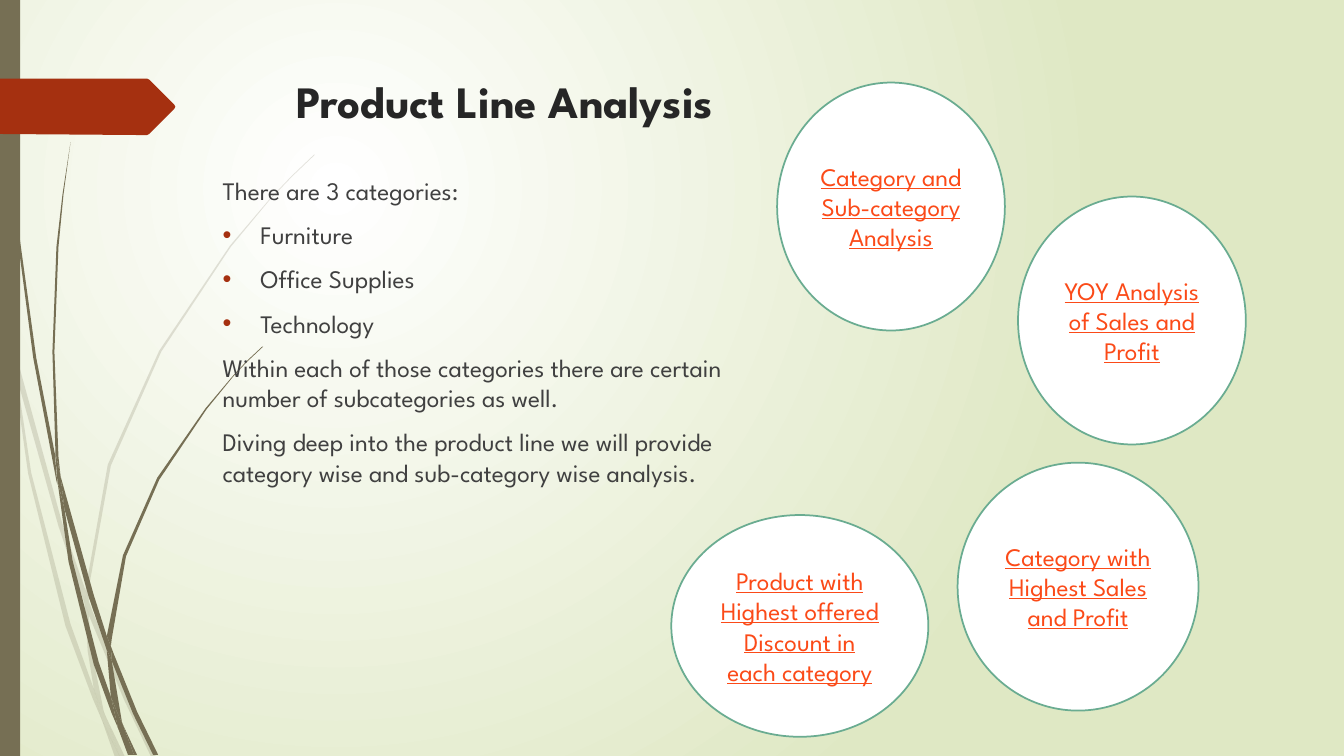
from lxml import etree
from pptx import Presentation
from pptx import util as u
from pptx.dml.color import RGBColor
from pptx.enum import shapes, text
from pptx.oxml.ns import qn

FONT = "League Spartan"
OLIVE, RUST, INK, GREY = "766F54", "A53010", "262626", "404040"
WHITE, LIME, GREEN, ORANGE = "FFFFFF", "DFE8C4", "6AAC91", "FB4A18"
GRID = 0.72  # points per unit of the outline coordinates

PALE_WISPS = [
    "11,350 9,322 0,282 0,299 10,344",
    "58,522 84,599 85,586 62,520 14,345 17,376",
    "92,607 88,596 88,610 123,694 150,751 155,751 127,692",
    "119,751 124,751 105,711",
    "93,683 70,619 31,469 17,376 11,350 28,470 65,621 92,693 101,714 99,707",
    "84,599 87,646 93,683 96,692 105,711 103,706 91,646 88,610 88,608",
    "88,584 110,462 160,349 229,245 268,198 290,175 312,154 312,153 289,175 "
    "268,197 228,244 158,348 107,461 85,584 85,586 88,596",
    "101,714 114,751 119,751",
    "88,608 88,610 88,596 85,586 84,599",
    "96,692 93,683 99,707 101,714 119,751 105,711",
]
DARK_WISPS = [
    "7,110 17,233 33,355 56,477 57,481 55,457 55,453 36,355 19,232 8,109 5,48 4,0 3,0 4,48",
    "88,592 106,645 106,633 106,631 93,590 60,472 64,505",
    "113,649 110,641 111,656 132,708 152,749 157,749 136,706",
    "110,691 98,657 72,556 64,505 57,477 68,557 93,659 111,708 117,722 116,717",
    "60,472 58,453 54,349 58,245 63,193 70,141 62,193 56,245 52,349 55,449",
    "133,749 136,749 122,719",
    "57,477 64,505 60,472 55,449 55,453",
    "111,633 125,552 158,476 205,406 231,374 245,359 261,344 260,344 245,358 "
    "231,373 204,405 156,474 122,551 106,631 110,641",
    "117,722 127,749 131,749",
    "106,645 110,691 116,706 122,719 121,716 111,656 109,651",
    "106,645 109,651 111,656 110,641 106,631 106,633",
    "116,706 110,691 116,717 117,722 130,749 133,749 122,719",
]
ARROW = "173,108 148,133 146,134 136,134 0,133 0,78 136,78 146,78 148,79 173,104 174,106"

BODY = [
    ("There are 3 categories:", False),
    ("Furniture", True),
    ("Office Supplies", True),
    ("Technology", True),
    ("Within each of those categories there are certain number of subcategories as well.", False),
    ("Diving deep into the product line we will provide category wise and "
     "sub-category wise analysis.", False),
]
BUBBLES = [
    ("Category and Sub-category Analysis", 555.1, 59, 162.7, 177.1),
    ("YOY Analysis of Sales and Profit", 727.2, 140.4, 162.7, 177.1),
    ("Category with Highest Sales and Profit", 684, 330.5, 172.1, 177.1),
    ("Product with Highest offered Discount in each category", 479.5, 367.9, 183.6, 158.4),
]


def colour(code):
    """Turn a hex string into a colour."""
    return RGBColor.from_string(code)


def paint(shape, fill, line=None, opacity=100):
    """Set a shape's fill, outline and opacity, without a shadow."""
    shape.shadow.inherit = False
    shape.fill.solid()
    shape.fill.fore_color.rgb = colour(fill)
    if opacity < 100:
        tint = shape.fill._xPr.find(".//" + qn("a:srgbClr"))
        etree.SubElement(tint, qn("a:alpha"), val=str(opacity * 1000))
    if line:
        shape.line.color.rgb = colour(line)
        shape.line.width = u.Pt(1.25)
    else:
        shape.line.fill.background()


def add_shape(holder, kind, place, fill, line=None):
    """Add a preset shape; place is left, top, width, height."""
    shape = holder.add_shape(kind, *[u.Pt(length) for length in place])
    paint(shape, fill, line)
    return shape


def add_outline(holder, outline, fill, opacity=100):
    """Add a closed freeform through the corners of an outline."""
    corners = [tuple(u.Pt(int(value) * GRID) for value in pair.split(","))
               for pair in outline.split()]
    builder = holder.build_freeform(*corners[0])
    builder.add_line_segments(corners[1:], close=True)
    paint(builder.convert_to_shape(), fill, opacity=opacity)


def write(para, words, size=18, ink=GREY, bold=False, underline=False):
    """Add a formatted span of text to a paragraph."""
    span = para.add_run()
    span.text = words
    font = span.font
    font.name, font.size, font.bold, font.underline = FONT, u.Pt(size), bold, underline
    font.color.rgb = colour(ink)


def add_box(page, *place):
    """Add a wrapping text box and return its text frame."""
    frame = page.shapes.add_textbox(*[u.Pt(length) for length in place]).text_frame
    frame.word_wrap = True
    return frame


def add_bullet(para):
    """Give a paragraph a rust bullet and a hanging indent."""
    props = para._p.get_or_add_pPr()
    props.set("marL", str(u.Pt(27)))
    props.set("indent", str(-u.Pt(27)))
    tint = etree.SubElement(props, qn("a:buClr"))
    etree.SubElement(tint, qn("a:srgbClr"), val=RUST)
    etree.SubElement(props, qn("a:buFont"), typeface="Arial")
    etree.SubElement(props, qn("a:buChar"), char="•")


def add_bubble(page, words, *place):
    """Add a white ellipse with underlined centred text."""
    bubble = add_shape(page.shapes, shapes.MSO_SHAPE.OVAL, place, WHITE, GREEN)
    frame = bubble.text_frame
    frame.word_wrap = True
    frame.vertical_anchor = text.MSO_ANCHOR.MIDDLE
    para = frame.paragraphs[0]
    para.alignment = text.PP_ALIGN.CENTER
    write(para, words, ink=ORANGE, underline=True)


def set_background(page):
    """Fill the page with a round gradient from white to lime."""
    fill = page.background.fill
    fill.gradient()
    for stop, code in zip(fill.gradient_stops, (WHITE, LIME)):
        stop.color.rgb = colour(code)
    linear = page.element.find(".//" + qn("a:lin"))
    gradient = linear.getparent()
    gradient.remove(linear)
    radial = etree.SubElement(gradient, qn("a:path"), path="circle")
    etree.SubElement(radial, qn("a:fillToRect"), l="50000", t="50000", r="100000", b="100000")


def main():
    """Build the slide and save it."""
    deck = Presentation()
    deck.slide_width, deck.slide_height = u.Pt(960), u.Pt(540)
    page = deck.slides.add_slide(deck.slide_layouts[6])
    set_background(page)

    for wisps, opacity in ((PALE_WISPS, 20), (DARK_WISPS, 100)):
        group = page.shapes.add_group_shape()
        for wisp in wisps:
            add_outline(group.shapes, wisp, OLIVE, opacity)
    add_shape(page.shapes, shapes.MSO_SHAPE.RECTANGLE, (0, 0, 14.4, 540), OLIVE)
    add_outline(page.shapes, ARROW, RUST)

    title = add_box(page, 204.5, 49, 702, 67)
    write(title.paragraphs[0], "Product Line Analysis", size=32, ink=INK, bold=True)

    body = add_box(page, 151.9, 121.7, 391, 343.4)
    for index, (words, bulleted) in enumerate(BODY):
        para = body.add_paragraph() if index else body.paragraphs[0]
        para.space_before = u.Pt(10)
        if bulleted:
            add_bullet(para)
        write(para, words)

    for bubble in BUBBLES:
        add_bubble(page, *bubble)
    deck.save("out.pptx")


main()
